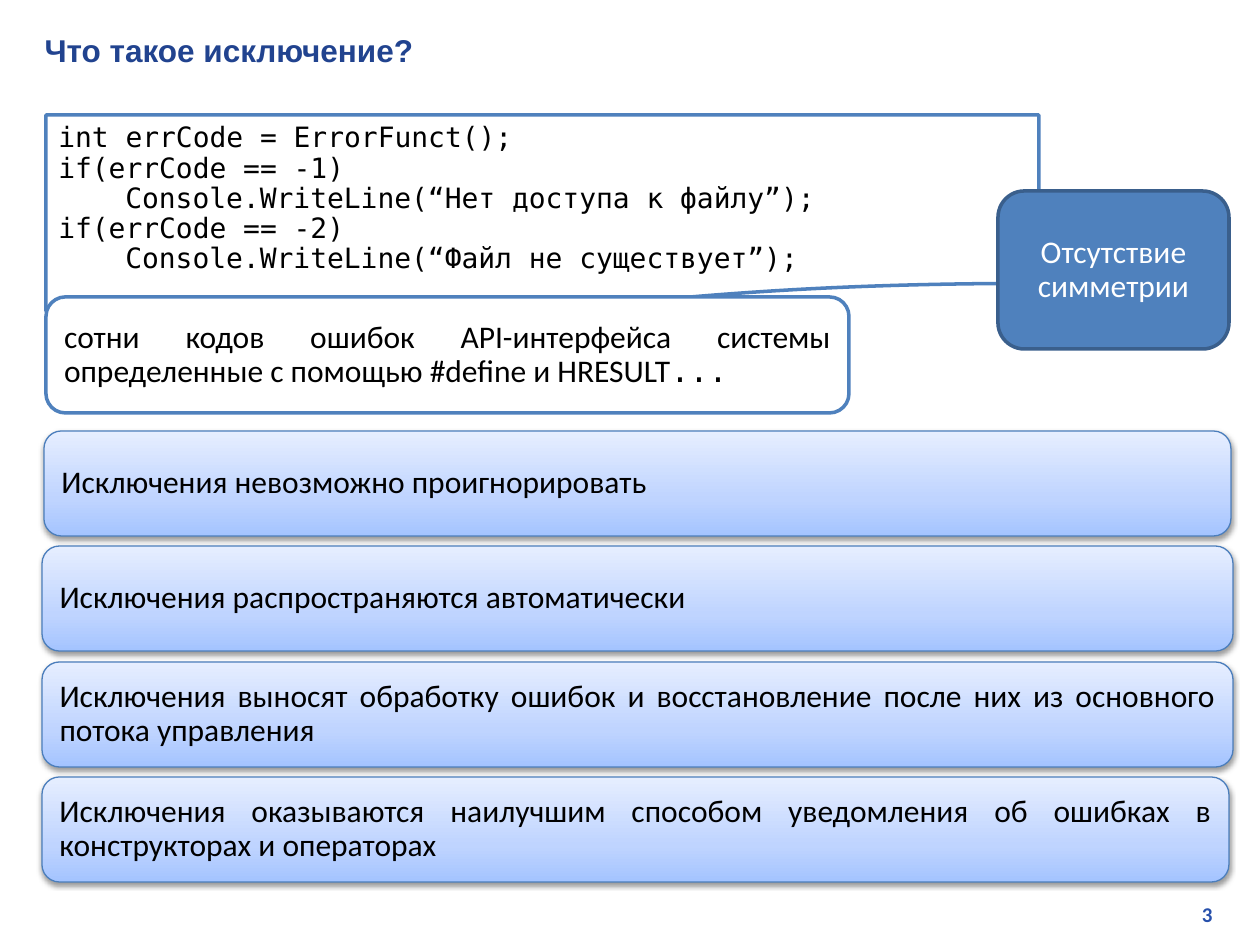
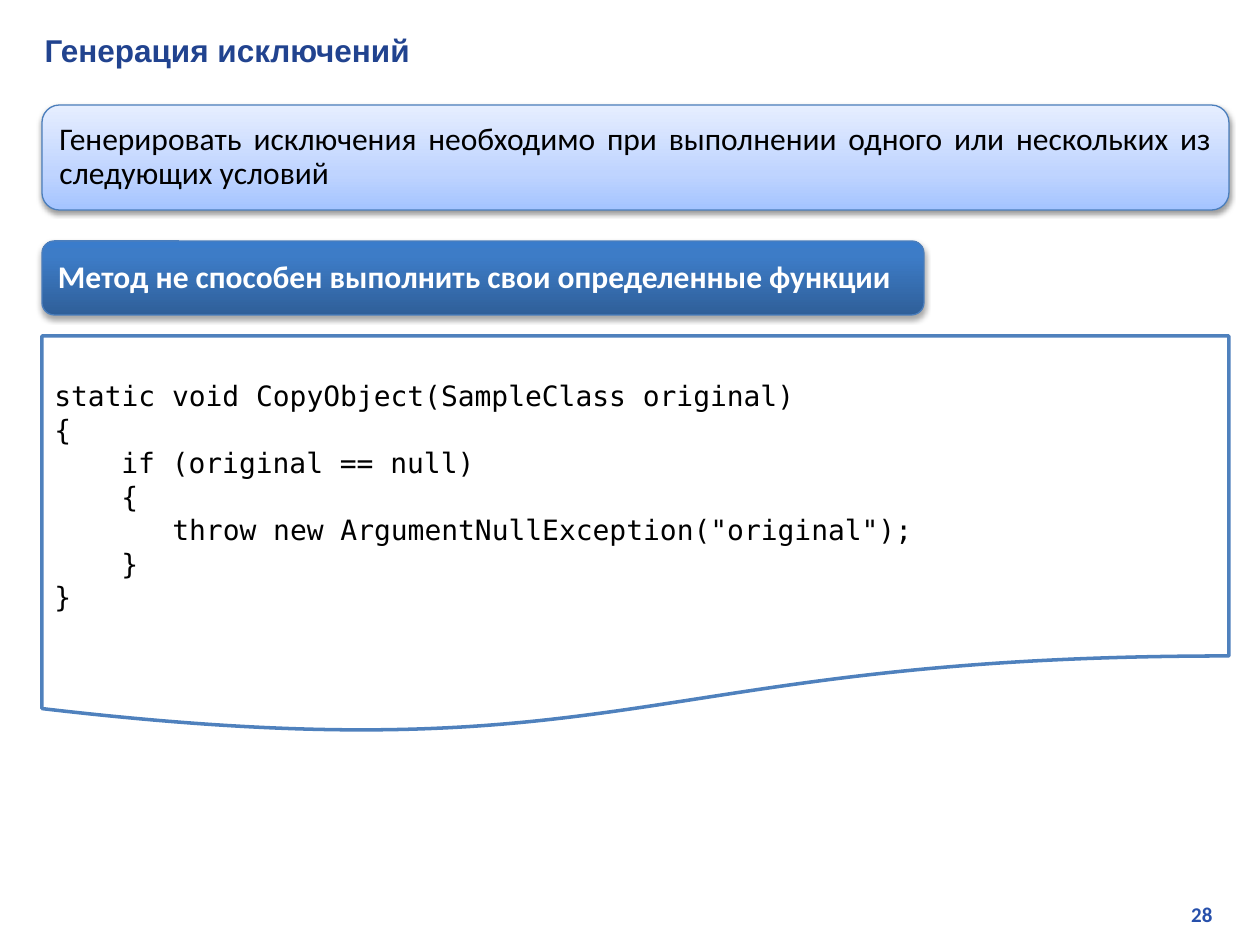
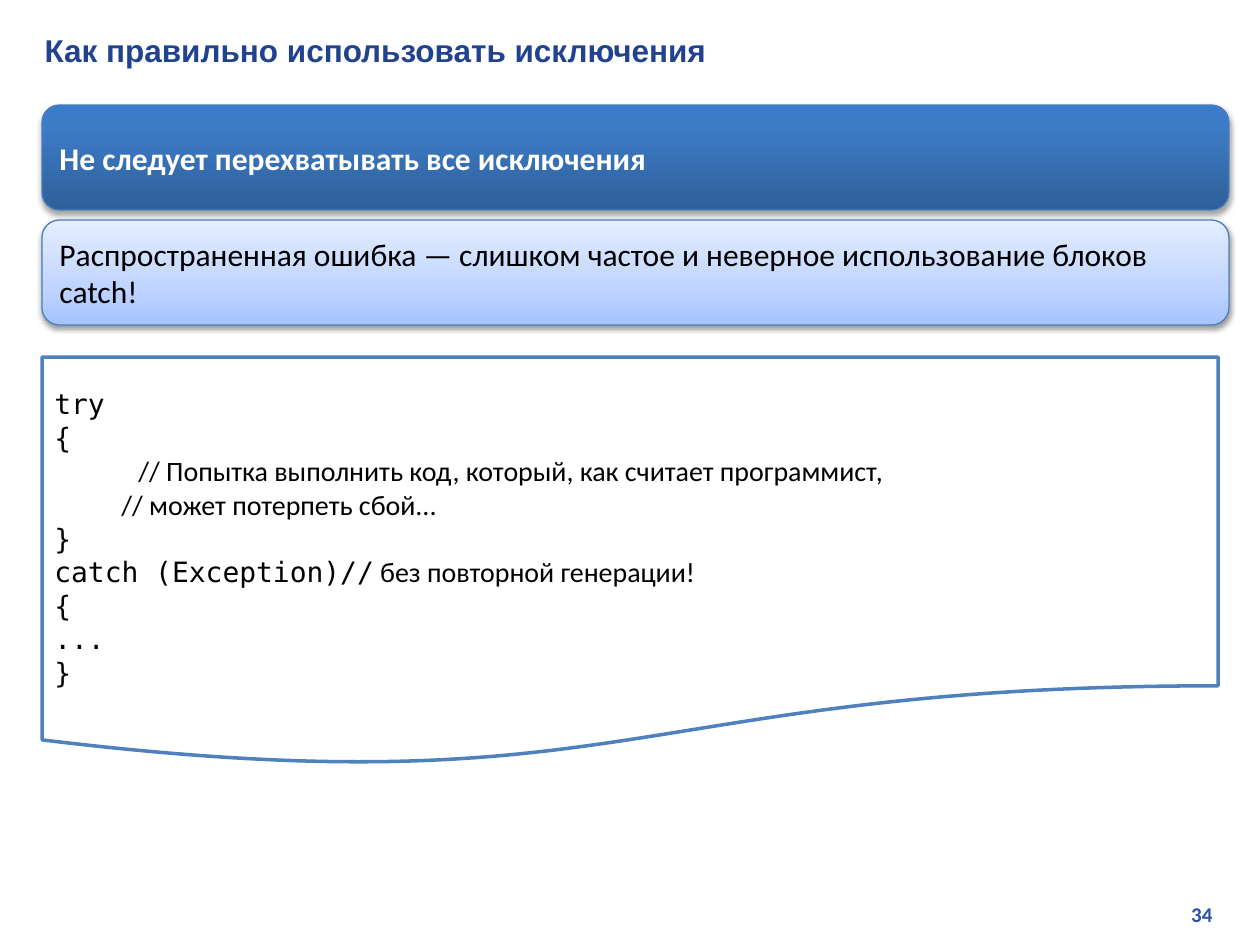
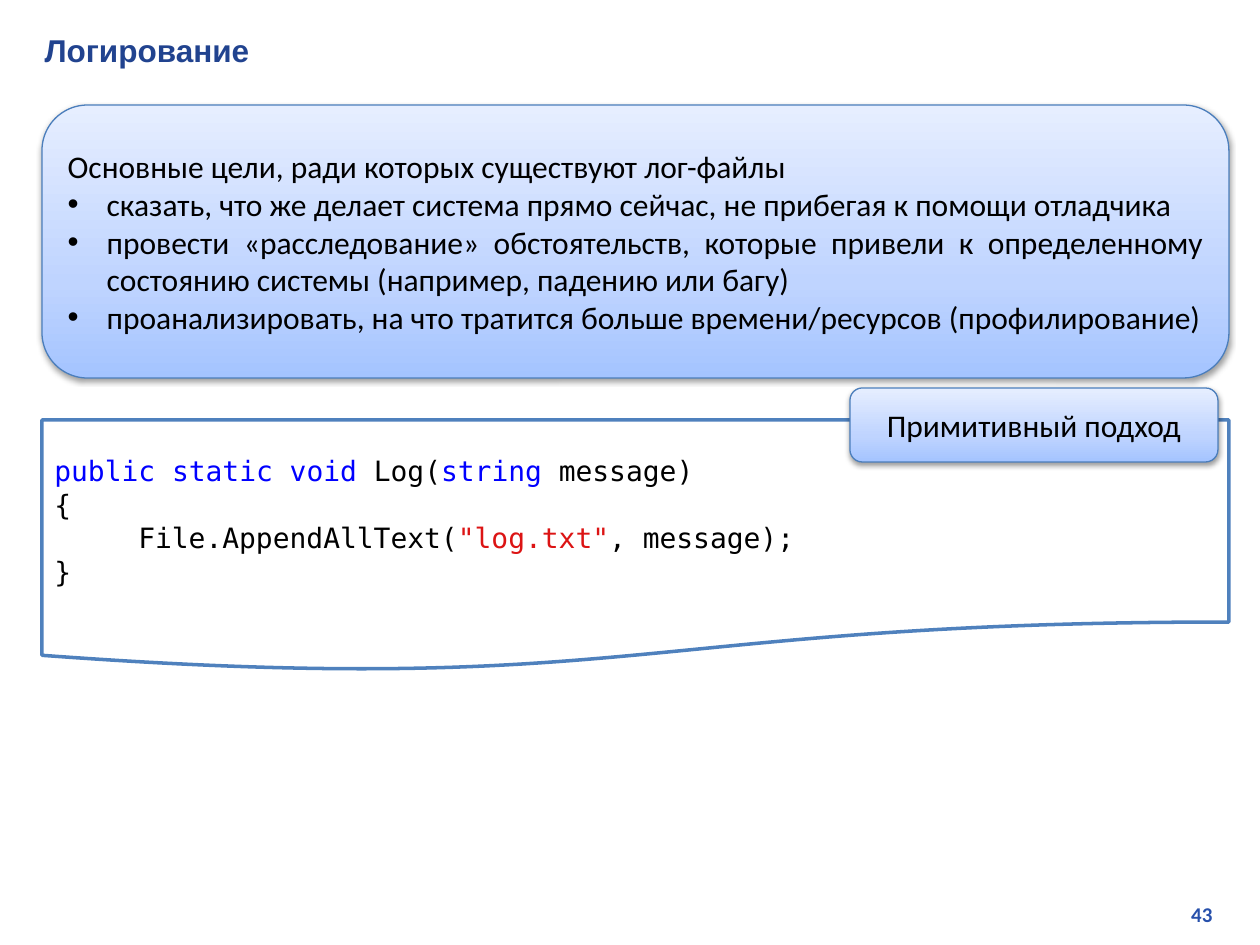
from dataclasses import dataclass

from pptx import Presentation
from pptx.dml.color import RGBColor
from pptx.enum.shapes import MSO_SHAPE
from pptx.enum.text import MSO_ANCHOR, MSO_AUTO_SIZE, PP_ALIGN
from pptx.oxml import parse_xml
from pptx.oxml.ns import nsdecls
from pptx.util import Pt

ROUND = MSO_SHAPE.ROUNDED_RECTANGLE
SHEET = MSO_SHAPE.FLOWCHART_DOCUMENT
PLATE = MSO_SHAPE.FLOWCHART_ALTERNATE_PROCESS
LEFT, MID, RIGHT, JUST = (PP_ALIGN.LEFT, PP_ALIGN.CENTER,
                          PP_ALIGN.RIGHT, PP_ALIGN.JUSTIFY)
EMU = 914400 / 126  # one pixel
ONLY_TITLE = 5


class Theme:
    """Colours, fonts and type sizes of the whole deck."""
    title, page = "21438F", "2750AB"
    black, white = "000000", "FFFFFF"
    blue, navy, edge = "4F81BD", "3A5F8C", "4B7EBC"
    key, quote = "0000FF", "DC1414"
    pale = [(0, "A4C4FF"), (35, "BFD4FF"), (100, "E6EEFF")]
    deep = [(0, "2F5F99"), (80, "3D7CC7"), (100, "3A7CCB")]
    head, body, mono = "Arial", "Calibri", "DejaVu Sans Mono"
    big, code, small = 18, 16, 12


@dataclass
class Look:
    """How one kind of block is drawn."""
    form: object
    fill: object
    line: str
    width: float
    ink: str = Theme.black
    font: str = Theme.body
    size: int = Theme.big
    bold: bool = False
    shade: tuple = ()  # opacity in percent, distance in EMU


@dataclass
class Line:
    """One paragraph: runs are strings or (string, changes) pairs."""
    runs: list
    inset: int = 0  # characters of code
    dot: bool = False


@dataclass
class Block:
    """A shape with text."""
    look: Look
    box: tuple
    lines: list
    align: object = JUST
    lead: float = 1.0
    top: int = 0  # extra room above the text


SOFT, HARD = (38, 20000), (35, 23000)
PALE = Look(ROUND, Theme.pale, Theme.edge, 0.75, shade=SOFT)
TAG = Look(PLATE, Theme.pale, Theme.edge, 0.75, shade=SOFT)
DEEP = Look(ROUND, Theme.deep, Theme.edge, 0.75, Theme.white,
            bold=True, shade=HARD)
CODE = Look(SHEET, Theme.white, Theme.blue, 2, font=Theme.mono,
            size=Theme.code)
NOTE = Look(ROUND, Theme.white, Theme.blue, 2)
SIDE = Look(PLATE, Theme.blue, Theme.navy, 2, Theme.white)

EDGE, FULL, BAR, TOP = 42, 1187, 105, 105
STEP, CHAR, DOT = 115.4, 16.86, 39
TITLE_BOX = (32, 25, 1202, 50)
PAGE_BOX = (958, 895, 267, 38)

TEXT = {"font": Theme.body}
MONO = {"font": Theme.mono}
KEY = {"ink": Theme.key}
QUOTE = {"ink": Theme.quote}

FACTS = [
    (44, 1187, "Исключения невозможно проигнорировать"),
    (42, 1191, "Исключения распространяются автоматически"),
    (42, 1191, "Исключения выносят обработку ошибок и восстановление "
               "после них из основного потока управления"),
    (42, 1187, "Исключения оказываются наилучшим способом уведомления "
               "об ошибках в конструкторах и операторах"),
]
CODES = [
    "int errCode = ErrorFunct();",
    "if(errCode == -1)",
    Line(["Console.WriteLine(“Нет доступа к файлу”);"], 4),
    "if(errCode == -2)",
    Line(["Console.WriteLine(“Файл не существует”);"], 4),
]
HINT = Line(["сотни кодов ошибок API-интерфейса системы определенные "
             "с помощью #define и HRESULT", ("...", MONO)])
THROW = [
    "static void CopyObject(SampleClass original)",
    "{",
    Line(["if (original == null)"], 4),
    Line(["{"], 4),
    Line(['throw new ArgumentNullException("original");'], 7),
    Line(["}"], 4),
    "}",
]
CATCH = [
    "try",
    "{",
    Line([("// Попытка выполнить код, который, как считает программист,",
           TEXT)], 5),
    Line([("// может потерпеть сбой...", TEXT)], 4),
    "}",
    Line(["catch (Exception)//", (" без повторной генерации!", TEXT)]),
    "{",
    "...",
    "}",
]
GOALS = [
    "Основные цели, ради которых существуют лог-файлы",
    Line(["сказать, что же делает система прямо сейчас, не прибегая "
          "к помощи отладчика"], dot=True),
    Line(["провести «расследование» обстоятельств, которые привели "
          "к определенному состоянию системы (например, падению или багу)"],
         dot=True),
    Line(["проанализировать, на что тратится больше времени/ресурсов "
          "(профилирование)"], dot=True),
]
LOG = [
    Line([("public static void", KEY), " Log(", ("string", KEY),
          " message)"]),
    "{",
    Line(["File.AppendAllText(", ('"log.txt"', QUOTE), ", message);"], 5),
    "}",
]

SLIDES = [
    ("Что такое исключение?", 3, [
        *[Block(PALE, (x, round(431 + i * STEP), w, BAR), [fact], lead=0.9)
          for i, (x, w, fact) in enumerate(FACTS)],
        Block(CODE, (46, 115, 993, 210), CODES, lead=0.9),
        Block(SIDE, (998, 191, 231, 158), ["Отсутствие симметрии"],
              MID, 0.9),
        Block(NOTE, (46, 297, 803, 116), [HINT], lead=0.9),
    ]),
    ("Генерация исключений", 28, [
        Block(PALE, (EDGE, TOP, FULL, BAR),
              ["Генерировать исключения необходимо при выполнении одного "
               "или нескольких из следующих условий"], lead=0.9),
        Block(DEEP, (EDGE, 241, 882, 74),
              ["Метод не способен выполнить свои определенные функции"],
              lead=0.9),
        Block(CODE, (EDGE, 336, FULL, 399), THROW, LEFT),
    ]),
    ("Как правильно использовать исключения", 34, [
        Block(DEEP, (EDGE, TOP, FULL, BAR),
              ["Не следует перехватывать все исключения"], LEFT),
        Block(CODE, (EDGE, 357, 1176, 410), CATCH, LEFT, top=33),
        Block(PALE, (EDGE, 220, FULL, BAR),
              ["Распространенная ошибка — слишком частое и неверное "
               "использование блоков catch!"], LEFT),
    ]),
    ("Логирование", 43, [
        Block(PALE, (EDGE, TOP, FULL, 273), GOALS),
        Block(CODE, (EDGE, 420, FULL, 252), LOG, LEFT),
        Block(TAG, (850, 388, 368, 74), ["Примитивный подход"], MID),
    ]),
]


def emu(*sizes):
    """Turn pixels into EMU."""
    return [round(size * EMU) for size in sizes]


def style(run, font, size, ink, bold=False):
    """Format one run."""
    run.font.name, run.font.size, run.font.bold = font, Pt(size), bold
    run.font.color.rgb = RGBColor.from_string(ink)


def blend(shape, stops):
    """Fill a shape with a gradient that rises from the bottom."""
    marks = "".join(
        f'<a:gs pos="{pos * 1000}"><a:srgbClr val="{ink}"/></a:gs>'
        for pos, ink in stops)
    grad = parse_xml(
        f'<a:gradFill {nsdecls("a")} rotWithShape="1"><a:gsLst>{marks}'
        '</a:gsLst><a:lin ang="16200000" scaled="0"/></a:gradFill>')
    shape._element.spPr.prstGeom.addnext(grad)


def shade(shape, alpha, dist):
    """Drop a soft shadow straight down."""
    drop = parse_xml(
        f'<a:outerShdw {nsdecls("a")} blurRad="40000" dist="{dist}" '
        'dir="5400000" rotWithShape="0"><a:srgbClr val="000000">'
        f'<a:alpha val="{alpha * 1000}"/></a:srgbClr></a:outerShdw>')
    shape._element.spPr.effectLst.append(drop)


def write(para, line, block):
    """Fill a paragraph with the runs of a line."""
    look = block.look
    para.alignment = block.align
    if block.lead != 1:
        para.line_spacing = block.lead
    props = para._p.get_or_add_pPr()
    if line.dot:
        pad = emu(DOT)[0]
        props.set("marL", str(pad))
        props.set("indent", str(-pad))
        props.append(parse_xml(
            f'<a:buFont {nsdecls("a")} typeface="Arial"/>'))
        props.append(parse_xml(f'<a:buChar {nsdecls("a")} char="•"/>'))
    elif line.inset:
        props.set("marL", str(emu(round(line.inset * CHAR))[0]))
        props.set("indent", "0")
    for part in line.runs:
        text, extra = (part, {}) if isinstance(part, str) else part
        run = para.add_run()
        run.text = text
        base = {"font": look.font, "size": look.size,
                "ink": look.ink, "bold": look.bold}
        style(run, **{**base, **extra})


def draw(slide, block):
    """Draw one block and its text."""
    look = block.look
    shape = slide.shapes.add_shape(look.form, *emu(*block.box))
    if isinstance(look.fill, str):
        shape.fill.solid()
        shape.fill.fore_color.rgb = RGBColor.from_string(look.fill)
    else:
        blend(shape, look.fill)
    shape.line.color.rgb = RGBColor.from_string(look.line)
    shape.line.width = Pt(look.width)
    shape.shadow.inherit = False
    if look.shade:
        shade(shape, *look.shade)
    frame = shape.text_frame
    frame.word_wrap = True
    frame.vertical_anchor = MSO_ANCHOR.MIDDLE
    frame.margin_top += emu(block.top)[0]
    for i, line in enumerate(block.lines):
        para = frame.add_paragraph() if i else frame.paragraphs[0]
        write(para, Line([line]) if isinstance(line, str) else line, block)


def label(shape, box, text, align, look):
    """Place a one-line text such as the title or the page number."""
    shape.left, shape.top, shape.width, shape.height = emu(*box)
    frame = shape.text_frame
    frame.text = text
    frame.word_wrap = True
    frame.auto_size = MSO_AUTO_SIZE.NONE
    frame.vertical_anchor = MSO_ANCHOR.MIDDLE
    para = frame.paragraphs[0]
    para.alignment = align
    style(para.runs[0], *look, bold=True)


def build():
    """Make the deck and save it."""
    deck = Presentation()
    deck.slide_width, deck.slide_height = emu(1260, 945)
    for title, page, blocks in SLIDES:
        slide = deck.slides.add_slide(deck.slide_layouts[ONLY_TITLE])
        label(slide.shapes.title, TITLE_BOX, title, LEFT,
              (Theme.head, Theme.big, Theme.title))
        label(slide.shapes.add_textbox(*emu(*PAGE_BOX)), PAGE_BOX,
              str(page), RIGHT, (Theme.body, Theme.small, Theme.page))
        for block in blocks:
            draw(slide, block)
    deck.save("out.pptx")


build()
